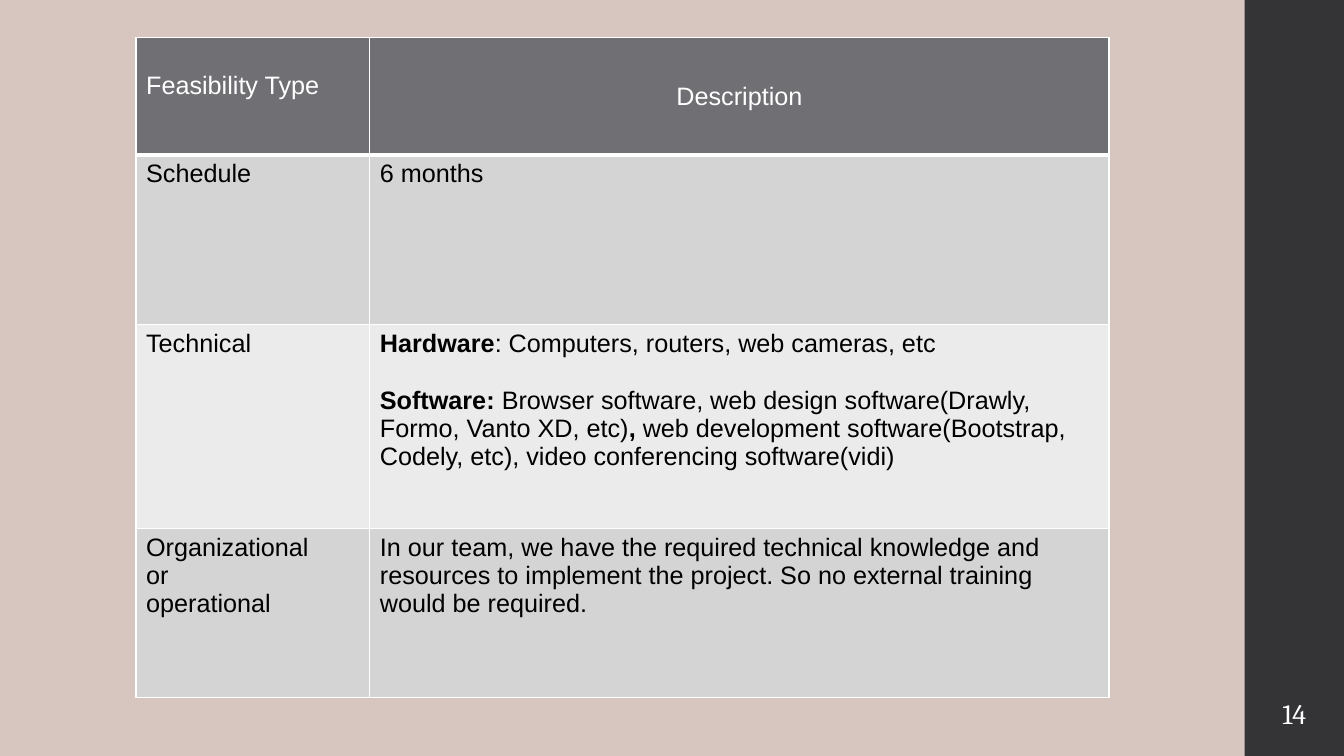
from lxml import etree
from pptx import Presentation
from pptx.dml import color
from pptx.enum import shapes, text
from pptx.oxml import ns
from pptx.util import Pt

WHITE, BLACK, DARK, SAND = "FFFFFF", "000000", "343437", "D7C5BF"
HEAD, BANDS = "6F6F74", ("D4D4D5", "EBEBEB")
LINE = 20.7
COLS = (167, 528)
ROWS = (84, 121, 145.5, 121)
CELLS = (
    ([[("Feasibility Type", False)]], [[("Description", False)]]),
    ([[("Schedule", False)]], [[("6 months", False)]]),
    (
        [[("Technical", False)]],
        [
            [("Hardware", True), (": Computers, routers, web cameras, etc", False)],
            [
                ("Software: ", True),
                ("Browser software, web design software(Drawly, Formo, Vanto XD, etc)", False),
                (", ", True),
                ("web development software(Bootstrap, Codely, etc), "
                 "video conferencing software(vidi)", False),
            ],
        ],
    ),
    (
        [[("Organizational", False)], [("or", False)], [("operational", False)]],
        [[("In our team, we have the required technical knowledge and resources to "
           "implement the project. So no external training would be required.", False)]],
    ),
)


def rgb(value):
    """Return the colour for a hex string."""
    return color.RGBColor.from_string(value)


def fill_solid(item, value):
    """Give a shape, cell or background a solid fill."""
    item.fill.solid()
    item.fill.fore_color.rgb = rgb(value)


def style_font(font, name, size, value):
    """Set the name, size and colour of a font."""
    font.name, font.size = name, Pt(size)
    font.color.rgb = rgb(value)


def add_borders(cell, widths):
    """Draw white cell borders, given widths by side."""
    tc_pr = cell._tc.get_or_add_tcPr()
    for side, width in widths.items():
        ln = etree.SubElement(tc_pr, ns.qn(f"a:ln{side}"), w=str(Pt(width)))
        solid = etree.SubElement(ln, ns.qn("a:solidFill"))
        etree.SubElement(solid, ns.qn("a:srgbClr"), val=WHITE)


def write_cell(cell, paragraphs, font_color):
    """Write paragraphs of (text, bold) runs into a cell."""
    tf = cell.text_frame
    for i, runs in enumerate(paragraphs):
        p = tf.paragraphs[0] if i == 0 else tf.add_paragraph()
        style_font(p.font, "Arial", 18, font_color)
        for content, bold in runs:
            r = p.add_run()
            r.text = content
            r.font.bold = bold


def add_feasibility_table(s, x, y):
    """Place the feasibility table with its top left corner at x, y."""
    table = s.shapes.add_table(
        len(ROWS), len(COLS), Pt(x), Pt(y), Pt(sum(COLS)), Pt(sum(ROWS))
    ).table
    for column, width in zip(table.columns, COLS):
        column.width = Pt(width)
    for i, (row, height) in enumerate(zip(table.rows, ROWS)):
        row.height = Pt(height)
        widths = {"L": 1, "R": 1, "T": 3 if i == 1 else 1, "B": 1 if i else 3}
        for cell, paragraphs in zip(row.cells, CELLS[i]):
            add_borders(cell, widths)
            fill_solid(cell, BANDS[(i - 1) % 2] if i else HEAD)
            write_cell(cell, paragraphs, BLACK if i else WHITE)
    table.cell(0, 0).margin_top = Pt(3.6 + LINE)
    description = table.cell(0, 1)
    description.vertical_anchor = text.MSO_ANCHOR.MIDDLE
    description.text_frame.paragraphs[0].alignment = text.PP_ALIGN.CENTER
    table.cell(2, 1).text_frame.paragraphs[1].space_before = Pt(LINE)


def add_side_bar(s, x, y, w, h, number):
    """Place the dark bar with the slide number near its foot."""
    bar = s.shapes.add_shape(shapes.MSO_SHAPE.RECTANGLE, Pt(x), Pt(y), Pt(w), Pt(h))
    bar.shadow.inherit = False
    fill_solid(bar, DARK)
    bar.line.fill.background()
    tf = s.shapes.add_textbox(Pt(x), Pt(y + h - 54), Pt(w), Pt(46.8)).text_frame
    tf.word_wrap = True
    tf.vertical_anchor = text.MSO_ANCHOR.MIDDLE
    tf.margin_left = tf.margin_right = Pt(3.6)
    p = tf.paragraphs[0]
    p.text = number
    p.alignment = text.PP_ALIGN.CENTER
    style_font(p.font, "Cambria", 20, WHITE)


def main():
    """Build and save the slide."""
    prs = Presentation()
    prs.slide_width, prs.slide_height = Pt(960), Pt(540)
    s = prs.slides.add_slide(prs.slide_layouts[6])
    fill_solid(s.background, SAND)
    add_side_bar(s, 889, 0, 71, 540, "14")
    add_feasibility_table(s, 97.2, 26.8)
    prs.save("out.pptx")


if __name__ == "__main__":
    main()
